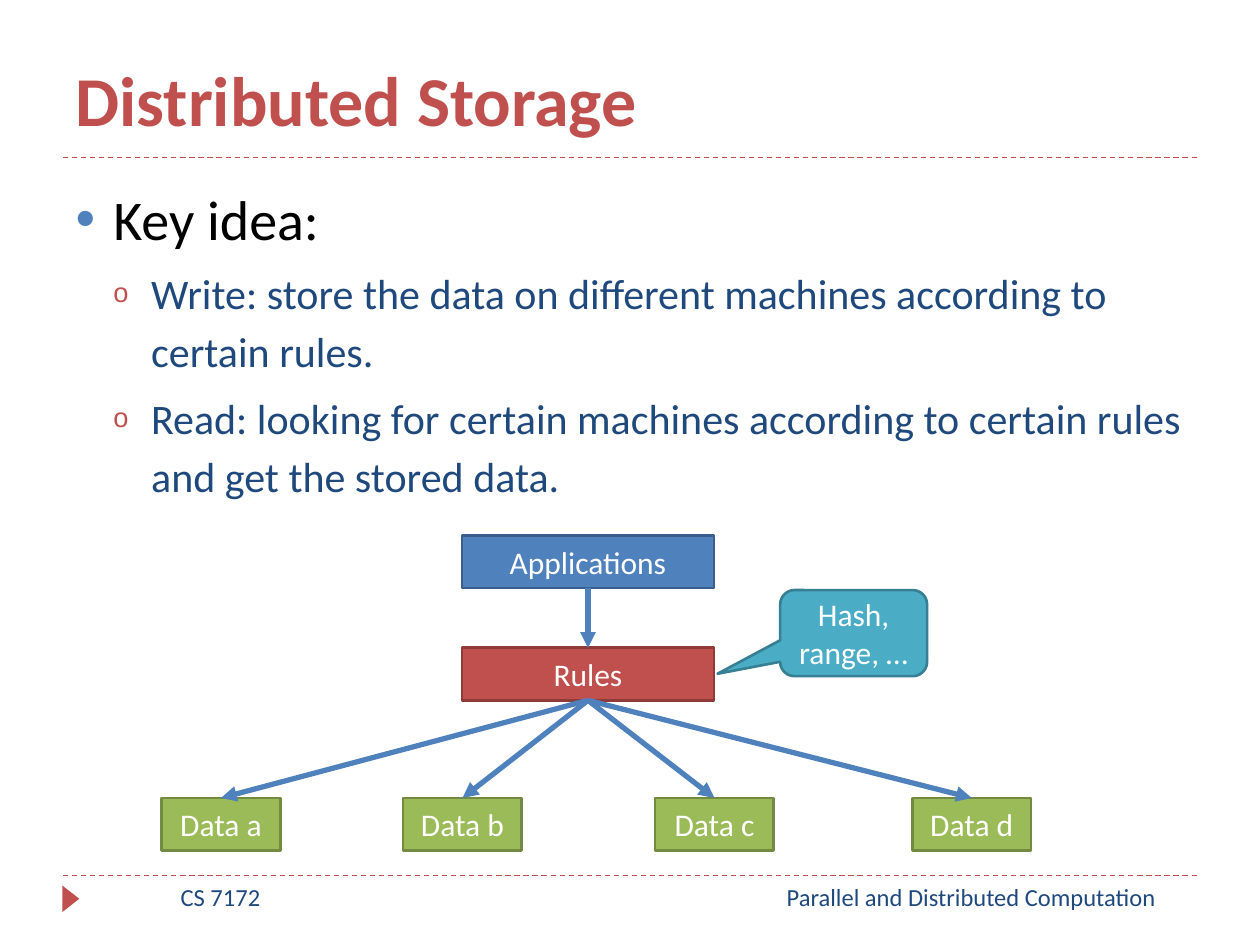
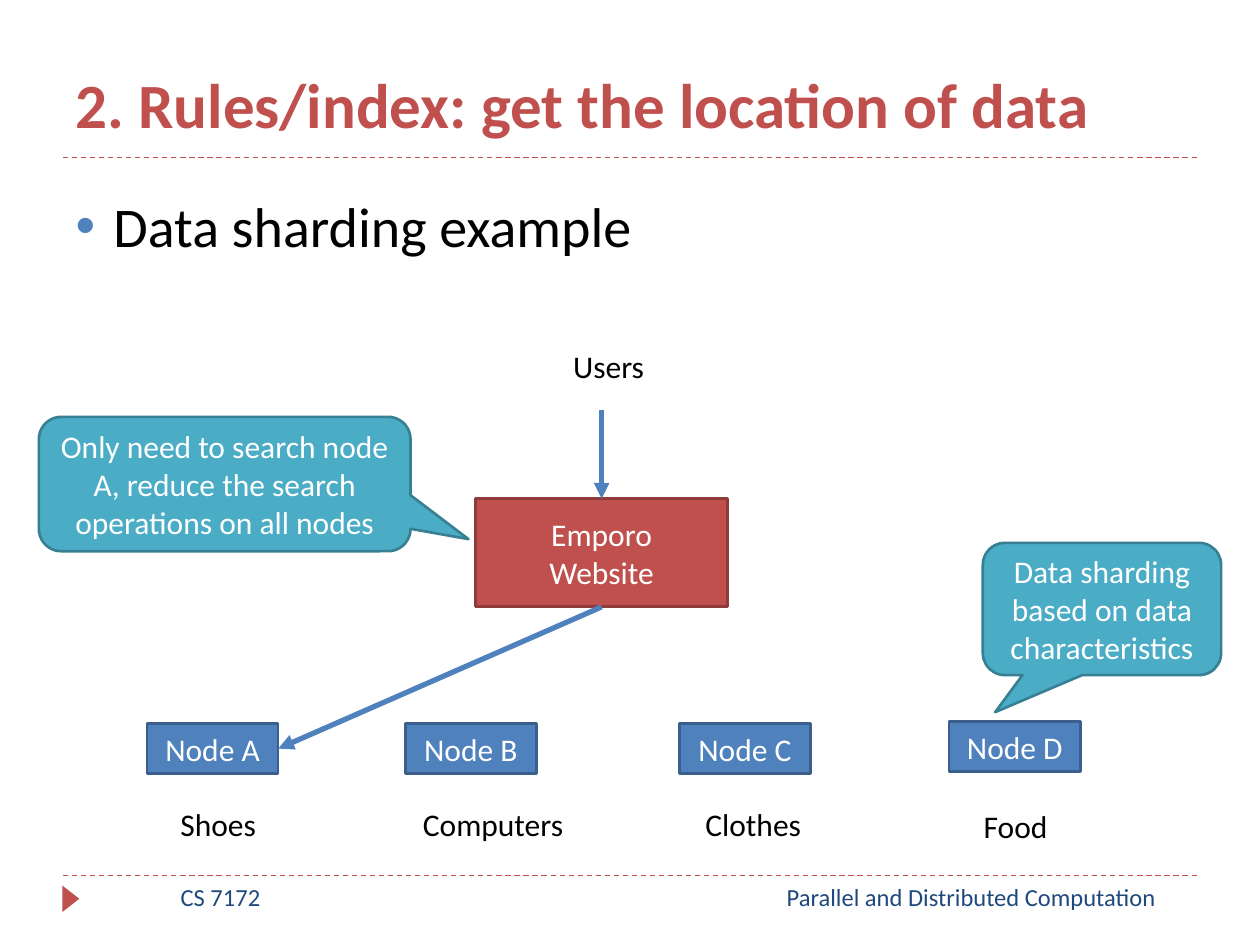
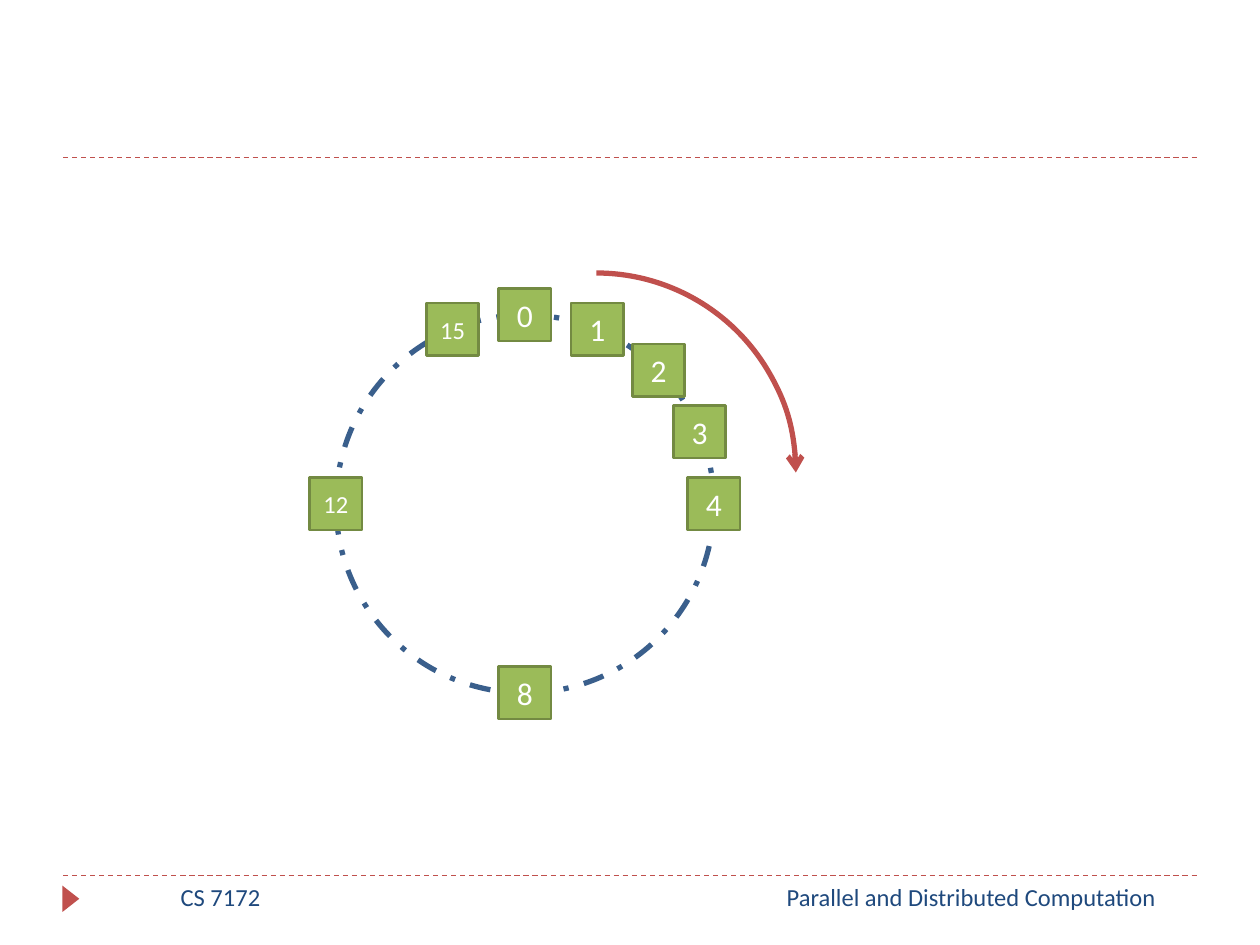
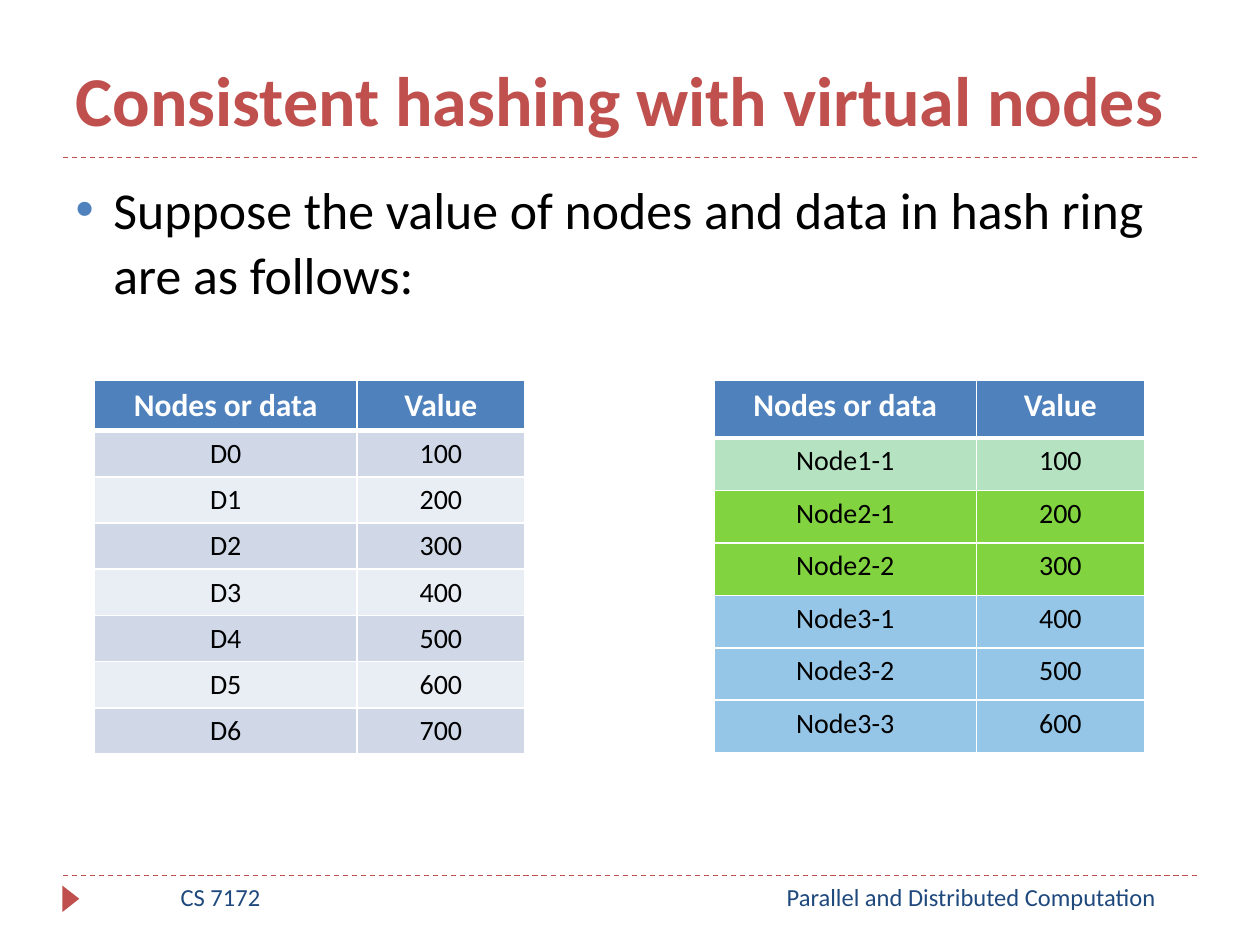
import math
from dataclasses import dataclass

from lxml import etree
from pptx import Presentation
from pptx import util as u
from pptx.dml.color import RGBColor
from pptx.enum import dml, shapes, text
from pptx.oxml import ns

# Grid: 120 columns by 90 rows over the whole slide
COLUMNS, ROWS = 120, 90
WIDTH, HEIGHT = u.Inches(10), u.Inches(7.5)
CELL = WIDTH // COLUMNS

FONT = "Calibri"
COLORS = {
    "black": "000000", "white": "FFFFFF", "navy": "1F497D",
    "blue": "4F81BD", "blue edge": "3A5F8C",
    "red": "C0504D", "red edge": "8E3B39",
    "green": "9BBB59", "green edge": "738A42",
    "teal": "4BACC6", "teal edge": "377F92",
    "band dark": "D0D8E8", "band light": "E9EDF4",
    "node1": "B5E2C0", "node2": "81D340", "node3": "96C6E7",
}
TITLE = {"size": 40, "bold": True, "color": "red"}
FOOTER = {"size": 14, "color": "navy"}
LABEL = {"size": 18, "color": "black"}
IN_SHAPE = {"size": 18, "color": "white"}
HEADER_CELL = {"size": 18, "bold": True, "color": "white"}
DATA_CELL = {"size": 16, "bold": False, "color": "black"}
KINDS = shapes.MSO_SHAPE
CENTER = text.PP_ALIGN.CENTER
TOP, LEFT, BOTTOM, RIGHT = range(4)


@dataclass
class Box:
    """A region in grid cells."""
    left: float
    top: float
    width: float
    height: float

    def inner(self, left, top, width, height):
        return Box(self.left + left, self.top + top, width, height)

    def emu(self):
        return [round(n * CELL) for n in (self.left, self.top, self.width, self.height)]


CONTENT = Box(0, 16, COLUMNS, 67)


# Formatting helpers
def rgb(name):
    return RGBColor.from_string(COLORS[name])


def add_xml(parent, tag, **attributes):
    return etree.SubElement(parent, ns.qn(tag), attributes)


def style_font(font, formats):
    values = {"name": FONT, **formats, "size": u.Pt(formats["size"])}
    font.color.rgb = rgb(values.pop("color"))
    for name, value in values.items():
        setattr(font, name, value)


def write(frame, lines, formats, align=None):
    for number, line in enumerate(lines.split("\n")):
        paragraph = frame.paragraphs[0] if number == 0 else frame.add_paragraph()
        run = paragraph.add_run()
        run.text = line
        style_font(run.font, formats)
        paragraph.alignment = align


def style_line(line, color, width, dash=None):
    line.color.rgb = rgb(color)
    line.width = u.Pt(width)
    if dash:
        line.dash_style = dash


# Shared drawing elements
def add_shape(slide, kind, box, fill=None, words="", size=18):
    shape = slide.shapes.add_shape(kind, *box.emu())
    shape.shadow.inherit = False
    if fill:
        shape.fill.solid()
        shape.fill.fore_color.rgb = rgb(fill)
        style_line(shape.line, f"{fill} edge", 1.5)
    else:
        shape.fill.background()
    if words:
        frame = shape.text_frame
        frame.word_wrap = True
        frame.vertical_anchor = text.MSO_ANCHOR.MIDDLE
        write(frame, words, {**IN_SHAPE, "size": size}, CENTER)
    return shape


def add_callout(slide, box, words, tip):
    callout = add_shape(slide, KINDS.ROUNDED_RECTANGULAR_CALLOUT, box, "teal", words)
    for index, value in enumerate((*tip, 0.167)):
        callout.adjustments[index] = value


def add_label(slide, box, words, formats=LABEL, align=None):
    frame = slide.shapes.add_textbox(*box.emu()).text_frame
    frame.word_wrap = True
    write(frame, words, formats, align)


def add_line(slide, start, end, color, width, dash=None):
    ends = [round(n * CELL) for n in (*start, *end)]
    line = slide.shapes.add_connector(shapes.MSO_CONNECTOR.STRAIGHT, *ends)
    style_line(line.line, color, width, dash)
    add_xml(line._element.spPr, "a:effectLst")
    return line


def add_arrow(slide, target, side, source=None, start=(0, 0)):
    """Point at a side of target, from the bottom of source or from a start point."""
    arrow = add_line(slide, start, start, "blue", 3)
    if source:
        arrow.begin_connect(source, BOTTOM)
    arrow.end_connect(target, side)
    add_xml(arrow.line._get_or_add_ln(), "a:tailEnd", type="triangle")


# Slide frame: rules, marker, footers, title
def add_slide(deck, title=None, title_size=40):
    slide = deck.slides.add_slide(deck.slide_layouts[1 if title else 6])
    for row in (83.4, 15):
        add_line(slide, (6, row), (114, row), "red", 0.75, dml.MSO_LINE.DASH)
    marker = add_shape(slide, KINDS.ISOSCELES_TRIANGLE, Box(5.5, 84.8, 2.5, 1.6), "red")
    marker.line.fill.background()
    marker.rotation = 90
    for box, words in ((Box(71, 83.4, 43, 4.8), "Parallel and Distributed Computation"),
                       (Box(8, 83.4, 26, 4.8), "CS 7172")):
        add_label(slide, box, words, FOOTER, CENTER)
    if title:
        holder = slide.shapes.title
        place(holder, Box(6, 1, 108, 13))
        holder.text_frame.vertical_anchor = text.MSO_ANCHOR.BOTTOM
        write(holder.text_frame, title, {**TITLE, "size": title_size}, text.PP_ALIGN.LEFT)
    return slide


def place(holder, box):
    for name, value in zip(("left", "top", "width", "height"), box.emu()):
        setattr(holder, name, value)
    holder.text_frame.auto_size = text.MSO_AUTO_SIZE.NONE


# Bulleted list: one main point and its details
def fill_body(slide, box, point, details=(), size=32, spacing=1.15):
    body = slide.placeholders[1]
    place(body, box)
    write(body.text_frame, point, {"size": size, "color": "black"})
    for detail in details:
        paragraph = body.text_frame.add_paragraph()
        paragraph.level = 1
        run = paragraph.add_run()
        run.text = detail
        style_font(run.font, {"size": 24, "color": "navy"})
    for paragraph in body.text_frame.paragraphs:
        level = paragraph.level
        properties = paragraph._p.get_or_add_pPr()
        properties.set("marL", str(u.Inches(0.3 * (level + 1))))
        properties.set("indent", str(u.Inches(-0.3)))
        bullet_color = add_xml(properties, "a:buClr")
        add_xml(bullet_color, "a:srgbClr", val=COLORS["red" if level else "blue"])
        add_xml(properties, "a:buSzPct", val="65000" if level else "100000")
        add_xml(properties, "a:buChar", char="o" if level else "•")
        paragraph.line_spacing = spacing
        paragraph.space_before = u.Pt(5 if level else 0)


# Storage diagram: applications, rules, data stores
def draw_storage(slide, box):
    applications, rules = (
        add_shape(slide, KINDS.RECTANGLE, box.inner(44, row, 24, 5), fill, words)
        for row, fill, words in ((35, "blue", "Applications"), (45.7, "red", "Rules")))
    stores = [add_shape(slide, KINDS.RECTANGLE, box.inner(column, 60, 11.3, 5), "green",
                        f"Data {letter}")
              for letter, column in zip("abcd", (15.4, 38.4, 62.4, 86.9))]
    add_arrow(slide, rules, TOP, applications)
    for store in stores:
        add_arrow(slide, store, TOP, rules)
    add_callout(slide, box.inner(74.3, 40.2, 14, 8.2), "Hash, range, …", (-0.926, 0.472))


# Sharding diagram: users, website, nodes with their goods
def draw_sharding(slide, box):
    website = add_shape(slide, KINDS.RECTANGLE, box.inner(45.3, 31.5, 24, 10.3), "red",
                        "Emporo\nWebsite")
    add_label(slide, box.inner(53.4, 16.5, 11.2, 4.8), "Users")
    goods = (("A", "Shoes", 14, 16, 0), ("B", "Computers", 38.6, 39.1, 0),
             ("C", "Clothes", 64.7, 66, 0), ("D", "Food", 90.4, 92.5, 0.2))
    nodes = []
    for letter, product, column, label_column, shift in goods:
        nodes.append(add_shape(slide, KINDS.RECTANGLE,
                               box.inner(column, 52.9 - shift, 12.5, 4.8), "blue",
                               f"Node {letter}"))
        add_label(slide, box.inner(label_column, 60.1 + shift, 18.6, 4.8), product)
    add_arrow(slide, nodes[0], RIGHT, website)
    add_arrow(slide, website, TOP, start=(box.left + 57.3, box.top + 23))
    add_callout(slide, box.inner(93.6, 35.7, 22.7, 12.6),
                "Data sharding based on data characteristics", (-0.448, 0.78))
    add_callout(slide, box.inner(3.7, 23.7, 35.4, 12.8),
                "Only need to search node A, reduce the search operations on all nodes",
                (0.656, 0.41))


# Hash ring: sixteen positions, clockwise from the top
def draw_ring(slide, box, positions=16, slot=5):
    ring = add_shape(slide, KINDS.OVAL, box)
    style_line(ring.line, "blue edge", 3, dml.MSO_LINE.DASH_DOT)
    radius = box.width / 2
    for value in (0, 8, 4, 12, 1, 2, 3, 15):
        angle = 2 * math.pi * value / positions
        slot_box = box.inner(radius * (1 + math.sin(angle)) - slot / 2,
                             radius * (1 - math.cos(angle)) - slot / 2, slot, slot)
        add_shape(slide, KINDS.RECTANGLE, slot_box, "green", str(value),
                  18 if value < 10 else 14)
    direction = add_shape(slide, KINDS.ARC, box.inner(5.8, -4, 38, 38))
    style_line(direction.line, "red", 3)
    add_xml(direction.line._get_or_add_ln(), "a:tailEnd", type="arrow")


# Value table: header row, then one filled row per entry
def draw_table(slide, box, entries, fills, row_heights):
    rows = [("Nodes or data", "Value")] + [
        (name, str(100 * number)) for number, name in enumerate(entries, 1)]
    table = slide.shapes.add_table(len(rows), 2, *box.emu()).table
    for column, width in zip(table.columns, (25, 16)):
        column.width = width * CELL
    for index, words in enumerate(rows):
        header = index == 0
        table.rows[index].height = round(row_heights[not header] * CELL)
        for column, word in enumerate(words):
            cell = table.cell(index, column)
            add_borders(cell, {"L": 1, "R": 1, "T": 3 if index == 1 else 1,
                               "B": 3 if header else 1})
            cell.fill.solid()
            cell.fill.fore_color.rgb = rgb("blue" if header else fills[index - 1])
            write(cell.text_frame, word, HEADER_CELL if header else DATA_CELL, CENTER)


def add_borders(cell, widths):
    properties = cell._tc.get_or_add_tcPr()
    for side, width in widths.items():
        border = add_xml(properties, f"a:ln{side}", w=str(u.Pt(width)))
        add_xml(add_xml(border, "a:solidFill"), "a:srgbClr", val=COLORS["white"])


def main():
    deck = Presentation()
    deck.slide_width, deck.slide_height = WIDTH, HEIGHT

    storage = add_slide(deck, "Distributed Storage")
    fill_body(storage, Box(6, 16, 108, 34), "Key idea:", (
        "Write: store the data on different machines according to certain rules.",
        "Read: looking for certain machines according to certain rules and get the "
        "stored data."))
    draw_storage(storage, CONTENT)

    sharding = add_slide(deck, "2. Rules/index: get the location of data", 36)
    fill_body(sharding, Box(6, 16, 108, 12), "Data sharding example", spacing=1.25)
    draw_sharding(sharding, CONTENT)

    draw_ring(add_slide(deck), Box(32, 30, 36, 36))

    hashing = add_slide(deck, "Consistent hashing with virtual nodes")
    fill_body(hashing, Box(6, 16, 108, 14),
              "Suppose the value of nodes and data in hash ring are as follows:",
              size=29.6, spacing=1.05)
    data = [f"D{number}" for number in range(7)]
    bands = [("band dark", "band light")[number % 2] for number in range(7)]
    draw_table(hashing, Box(9, 36.2, 41, 35.6), data, bands, (3.84, 3.84))
    owners = [(node, replica) for node in (1, 2, 3) for replica in range(1, node + 1)]
    draw_table(hashing, Box(68, 36.2, 41, 35.6),
               [f"Node{node}-{replica}" for node, replica in owners],
               [f"node{node}" for node, _ in owners], (5.5, 5))

    deck.save("out.pptx")


if __name__ == "__main__":
    main()
